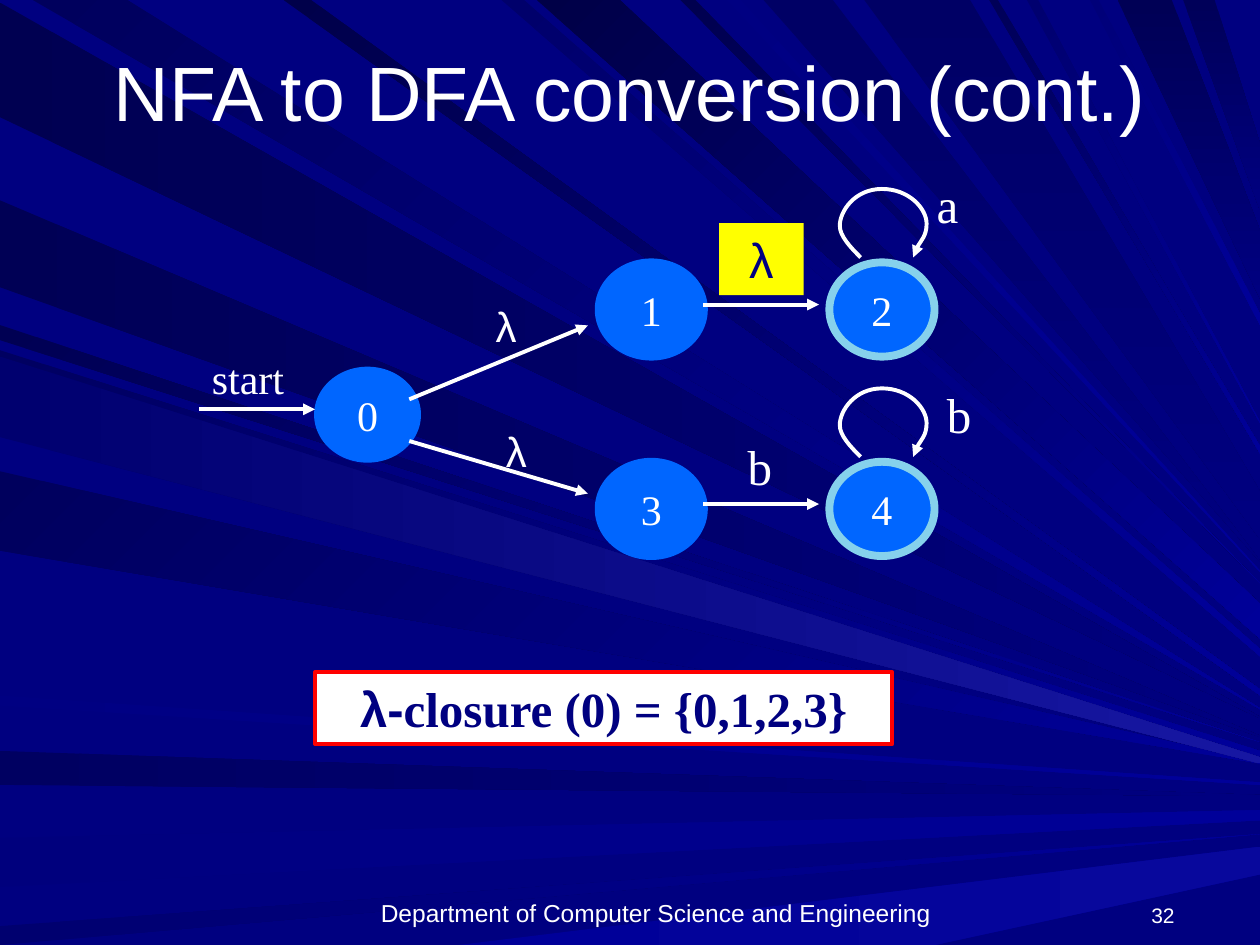
from itertools import product

from lxml.etree import SubElement
from pptx import Presentation
from pptx.dml.color import RGBColor
from pptx.enum.shapes import MSO_CONNECTOR, MSO_SHAPE
from pptx.enum.text import MSO_ANCHOR as ANCHOR, PP_ALIGN as ALIGN
from pptx.oxml.ns import qn
from pptx.util import Cm, Pt

WHITE, NAVY, BLUE, PALE_BLUE = "FFFFFF", "000080", "0066FF", "86D1EC"
SANS, SERIF = "Arial", "Times New Roman"

GRID = 2.54  # cm per grid step: the rays lie on a 10 by 7.5 grid
# slide edge, gradient angle, end colour, then per ray its first colour,
# its two places along that edge and its two heights at the right edge
RAY_GROUPS = [
    ("left", 0, "000080", [("000051", 0.02, 0.93, 5.69, 5.7), ("000061", 5.96, 6.23, 6.31, 6.32)]),
    ("top", 45, "000099", [("00005D", 0.26, 1.01, 5.63, 5.62)]),
    ("left", 0, "000099", [("00007D", 6.65, 7.04, 6.43, 6.51), ("00006F", 7.35, 7.5, 6.62, 6.62)]),
    ("bottom", 0, "08089C", [("000099", 3.64, 7.42, 6.72, 6.94)]),
    ("left", 45, "000099", [("000053", 2.58, 2.7, 5.89, 5.89)]),
    ("left", 0, "000080", [("000055", 1.59, 2.28, 5.84, 5.85)]),
    ("top", 45, "000099", [("00006B", 3.98, 4.16, 5.21, 5.15), ("000047", 4.26, 4.92, 5.07, 4.79),
                           ("00004F", 5.4, 5.52, 4.63, 4.63)]),
    ("top", 90, "000080", [("000065", 6.06, 6.61, 4.46, 4.45), ("000055", 8.87, 9.3, 2.37, 1.83),
                           ("000059", 9.39, 9.64, 1.67, 1.14)]),
    ("left", 45, "000099", [("000061", 2.78, 3.42, 5.96, 6.02), ("00005D", 3.74, 4.37, 6.05, 6.06)]),
    ("left", 0, "000099", [("000082", 5.52, 5.6, 6.21, 6.23)]),
    ("top", 45, "000099", [("00004A", 2.25, 2.47, 5.52, 5.47), ("000082", 5.77, 5.88, 4.54, 4.53)]),
    ("top", 90, "000080", [("000065", 6.86, 7.7, 4.28, 3.9)]),
    ("top", 45, "000099", [("000058", 7.85, 7.92, 3.6, 3.54), ("00006F", 8.15, 8.24, 3.36, 3.35),
                           ("000079", 8.65, 8.72, 2.58, 2.49)]),
    ("left", 0, "1717A2", [("00006F", 2.83, 3.47, 6.01, 6.06)]),
]

STATE_W, STATE_H = 2.12, 1.9
MIDDLE_X, FINAL_X = 12.07, 16.72
ROWS = 5.29, 9.31
# start point, then three Bézier points per curve, in cm
LOOP = [(0.42, 1.38),
        (0.21, 1.17), (0, 0.95), (0, 0.74), (0, 0.45), (0.3, 0), (0.85, 0),
        (1.4, 0), (1.75, 0.4), (1.75, 0.7), (1.75, 0.95), (1.5, 1.2), (1.48, 1.38)]


def rgb(hex_code):
    return RGBColor.from_string(hex_code)


def add_outline(slide, points, closed):
    """Draw straight segments through points given in cm."""
    corners = [(Cm(x), Cm(y)) for x, y in points]
    builder = slide.shapes.build_freeform(*corners[0])
    builder.add_line_segments(corners[1:], close=closed)
    outline = builder.convert_to_shape()
    outline.shadow.inherit = False
    return outline


def add_ray(slide, edge, angle, last, first, start, end, tip_start, tip_end):
    """Draw a beam from one slide edge to the right edge."""
    if edge == "left":
        base = [(0, end), (0, start)]
    else:
        y = 0 if edge == "top" else 7.5
        base = [(end, y), (start, y)]
    corners = base + [(10, tip_start), (10, tip_end)]
    ray = add_outline(slide, [(x * GRID, y * GRID) for x, y in corners], True)
    ray.line.fill.background()
    ray.fill.gradient()
    ray.fill.gradient_angle = (360 - angle) % 360
    for stop, colour in zip(ray.fill.gradient_stops, (first, last)):
        stop.color.rgb = rgb(colour)


def set_line(line, colour, width):
    line.color.rgb = rgb(colour)
    line.width = Pt(width)


def set_arrow(arrow):
    set_line(arrow.line, WHITE, 2.25)
    outline = arrow._element.spPr.find(qn("a:ln"))
    SubElement(outline, qn("a:tailEnd"), type="triangle")


def add_arrow(slide, x1, y1, x2, y2):
    arrow = slide.shapes.add_connector(
        MSO_CONNECTOR.STRAIGHT, Cm(x1), Cm(y1), Cm(x2), Cm(y2))
    set_arrow(arrow)
    SubElement(arrow._element.spPr, qn("a:effectLst"))


def add_loop(slide, left, top):
    """Draw a self-transition, turning each three segments into one curve."""
    loop = add_outline(slide, [(left + x, top + y) for x, y in LOOP], False)
    loop.fill.background()
    set_arrow(loop)
    outline = loop._element.find(".//" + qn("a:path"))
    segments = outline.findall(qn("a:lnTo"))
    for i in range(0, len(segments), 3):
        curve = SubElement(outline, qn("a:cubicBezTo"))
        for segment in segments[i:i + 3]:
            curve.append(segment[0])
            outline.remove(segment)


def write(holder, runs, size, colour=WHITE, align=ALIGN.LEFT, anchor=ANCHOR.TOP,
          wrap=True, bold=False):
    """Fill a shape with one paragraph of (text, font name) runs."""
    frame = holder.text_frame
    frame.word_wrap = wrap
    frame.vertical_anchor = anchor
    paragraph = frame.paragraphs[0]
    paragraph.alignment = align
    for text, font_name in runs:
        run = paragraph.add_run()
        run.text = text
        run.font.name = font_name
        run.font.size = Pt(size)
        run.font.bold = bold
        run.font.color.rgb = rgb(colour)


def add_label(slide, text, font_name, size, left, top, width, height, **style):
    label = slide.shapes.add_textbox(Cm(left), Cm(top), Cm(width), Cm(height))
    write(label, [(text, font_name)], size, **style)


def add_filled(slide, kind, left, top, width, height, fill, edge=None, edge_width=0):
    filled = slide.shapes.add_shape(kind, Cm(left), Cm(top), Cm(width), Cm(height))
    filled.shadow.inherit = False
    filled.fill.solid()
    filled.fill.fore_color.rgb = rgb(fill)
    if edge:
        set_line(filled.line, edge, edge_width)
    else:
        filled.line.fill.background()
    return filled


def add_state(slide, number, left, top, edge=BLUE, edge_width=4.5):
    state = add_filled(slide, MSO_SHAPE.OVAL, left, top, STATE_W, STATE_H,
                       BLUE, edge, edge_width)
    write(state, [(number, SERIF)], 24, align=ALIGN.CENTER, anchor=ANCHOR.MIDDLE, wrap=False)


def add_automaton(slide):
    add_state(slide, "0", 6.35, 7.41, edge_width=1)
    columns = [(MIDDLE_X, BLUE), (FINAL_X, PALE_BLUE)]
    for number, (top, (left, edge)) in zip("1234", product(ROWS, columns)):
        add_state(slide, number, left, top, edge)
    add_arrow(slide, 4.02, 8.25, 6.35, 8.25)
    add_arrow(slide, 8.25, 8.05, 11.85, 6.56)
    add_arrow(slide, 8.25, 8.89, 11.85, 9.95)
    for top in ROWS:
        add_arrow(slide, 14.18, top + 0.85, 16.51, top + 0.85)
        add_loop(slide, FINAL_X + 0.21, top - 1.48)
    add_label(slide, "start", SERIF, 24, 4.02, 6.98, 1.96, 1.27, wrap=False)
    for left, top in [(9.74, 5.94), (9.95, 8.46)]:
        add_label(slide, "λ", SANS, 24, left, top, 0.97, 1.27, wrap=False)
    for text, left, top in [("a", 18.63, 3.39), ("b", 18.84, 7.62), ("b", 14.82, 8.68)]:
        add_label(slide, text, SERIF, 28, left, top, 1.06, 1.45)
    highlight = add_filled(slide, MSO_SHAPE.RECTANGLE, 14.5, 4.5, 1.7, 1.45, "FFFF00")
    write(highlight, [("λ", SANS)], 28, NAVY, ALIGN.CENTER)


def main():
    deck = Presentation()
    deck.slide_width, deck.slide_height = Cm(25.4), Cm(19.05)
    slide = deck.slides.add_slide(deck.slide_layouts[6])
    slide.background.fill.solid()
    slide.background.fill.fore_color.rgb = rgb(NAVY)
    for edge, angle, last, rays in RAY_GROUPS:
        for ray in rays:
            add_ray(slide, edge, angle, last, *ray)
    add_label(slide, "Department of Computer Science and Engineering", SANS, 14,
              4.65, 17.98, 17.15, 0.85, align=ALIGN.CENTER, anchor=ANCHOR.BOTTOM)
    add_label(slide, "32", SANS, 12, 22.23, 17.98, 1.7, 0.85,
              align=ALIGN.RIGHT, anchor=ANCHOR.BOTTOM)
    add_label(slide, "NFA to DFA conversion (cont.)", SANS, 44, 1.27, 0.76, 22.86, 2.12,
              align=ALIGN.CENTER, anchor=ANCHOR.MIDDLE)
    add_automaton(slide)
    closure = add_filled(slide, MSO_SHAPE.RECTANGLE, 6.35, 13.55, 11.64, 1.45,
                         WHITE, "FF0000", 2.25)
    write(closure, [("λ-", SANS), ("closure (0) = {0,1,2,3}", SERIF)], 28, NAVY,
          ALIGN.CENTER, bold=True)
    deck.save("out.pptx")


if __name__ == "__main__":
    main()
